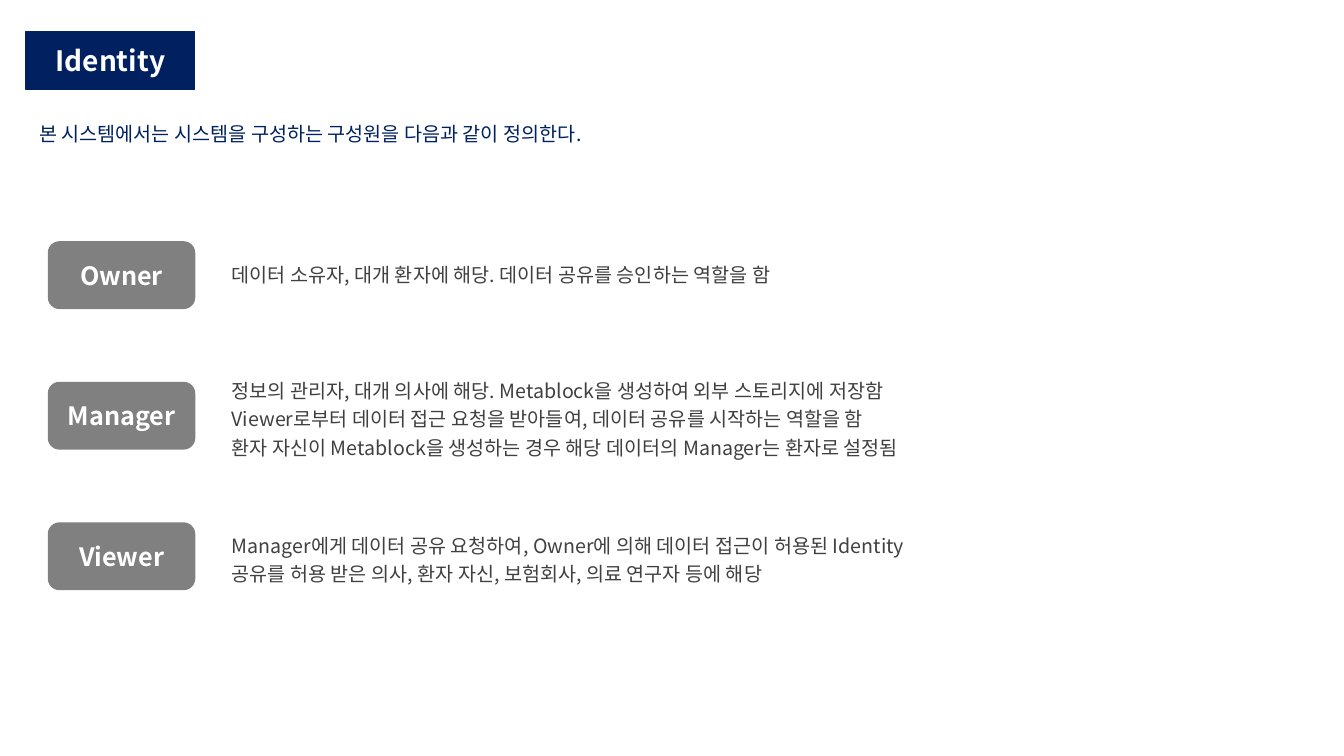
from lxml import etree
from pptx import Presentation
from pptx.dml.color import RGBColor
from pptx.enum import shapes, text
from pptx.oxml import ns
from pptx.util import Pt

FONT = "Noto Sans CJK KR"
NAVY, GRAY, DARK, WHITE = "002060", "808080", "404040", "FFFFFF"
ROLE_TOP, ROLE_PITCH, ROLE_HEIGHT = 172.8, 100.4, 47.5
ROLES = [
    ("Owner", 447, 24.5, 1.0, [
        "데이터 소유자, 대개 환자에 해당. 데이터 공유를 승인하는 역할을 함",
    ]),
    ("Manager", 536.4, 66.2, 1.2, [
        "정보의 관리자, 대개 의사에 해당. Metablock을 생성하여 외부 스토리지에 저장함",
        "Viewer로부터 데이터 접근 요청을 받아들여, 데이터 공유를 시작하는 역할을 함",
        "환자 자신이 Metablock을 생성하는 경우 해당 데이터의 Manager는 환자로 설정됨",
    ]),
    ("Viewer", 534.2, 46.1, 1.2, [
        "Manager에게 데이터 공유 요청하여, Owner에 의해 데이터 접근이 허용된 Identity",
        "공유를 허용 받은 의사, 환자 자신, 보험회사, 의료 연구자 등에 해당",
    ]),
]


def rgb(value):
    """Turn a hex string into a colour."""
    return RGBColor.from_string(value)


def write(paragraph, wording, size, color, bold=False):
    """Add one formatted run to a paragraph."""
    run = paragraph.add_run()
    run.text = wording
    for key, value in {"size": Pt(size), "bold": bold, "name": FONT}.items():
        setattr(run.font, key, value)
    run.font.color.rgb = rgb(color)
    east_asian = etree.SubElement(run.font._element, ns.qn("a:ea"))
    east_asian.set("typeface", FONT)


def add_label(slide, kind, box, wording, size, color):
    """Draw a filled shape with a bold centred label."""
    label = slide.shapes.add_shape(kind, *map(Pt, box))
    label.shadow.inherit = False
    label.fill.solid()
    label.fill.fore_color.rgb = rgb(color)
    label.line.color.rgb = rgb(color)
    label.line.width = Pt(1)
    label.text_frame.vertical_anchor = text.MSO_ANCHOR.MIDDLE
    paragraph = label.text_frame.paragraphs[0]
    paragraph.alignment = text.PP_ALIGN.CENTER
    write(paragraph, wording, size, WHITE, bold=True)


def add_lines(slide, box, lines, color, spacing=1.0):
    """Place unwrapped text with one paragraph for each line."""
    frame = slide.shapes.add_textbox(*map(Pt, box)).text_frame
    frame.word_wrap = False
    frame.auto_size = text.MSO_AUTO_SIZE.SHAPE_TO_FIT_TEXT
    for index, line in enumerate(lines):
        paragraph = frame.add_paragraph() if index else frame.paragraphs[0]
        paragraph.line_spacing = spacing
        write(paragraph, line, 14, color)


def main():
    """Build the slide of system members and save it."""
    deck = Presentation()
    deck.slide_width, deck.slide_height = Pt(960), Pt(540)
    slide = deck.slides.add_slide(deck.slide_layouts[6])
    preset = shapes.MSO_SHAPE

    add_label(slide, preset.RECTANGLE, (18.7, 22.3, 120.3, 41.8), "Identity", 20, NAVY)
    add_lines(slide, (20.9, 83.5, 445, 24.5),
              ["본 시스템에서는 시스템을 구성하는 구성원을 다음과 같이 정의한다."], NAVY)

    for index, (role, width, height, spacing, duties) in enumerate(ROLES):
        top = ROLE_TOP + index * ROLE_PITCH
        add_label(slide, preset.ROUNDED_RECTANGLE,
                  (34.6, top, 104.4, ROLE_HEIGHT), role, 18, GRAY)
        duties_top = top + (ROLE_HEIGHT - height) / 2
        add_lines(slide, (158.4, duties_top, width, height), duties, DARK, spacing)

    deck.save("out.pptx")


if __name__ == "__main__":
    main()
